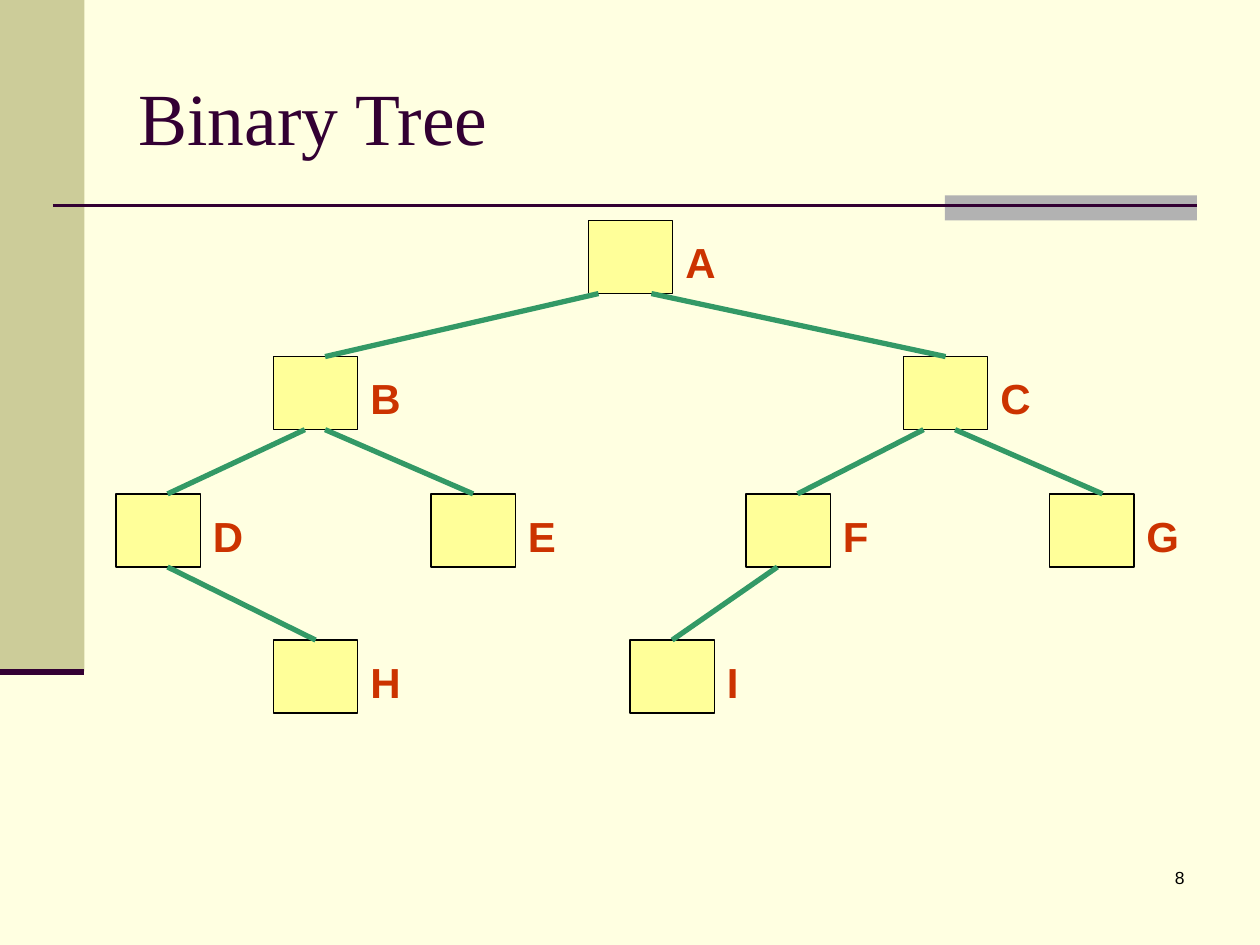
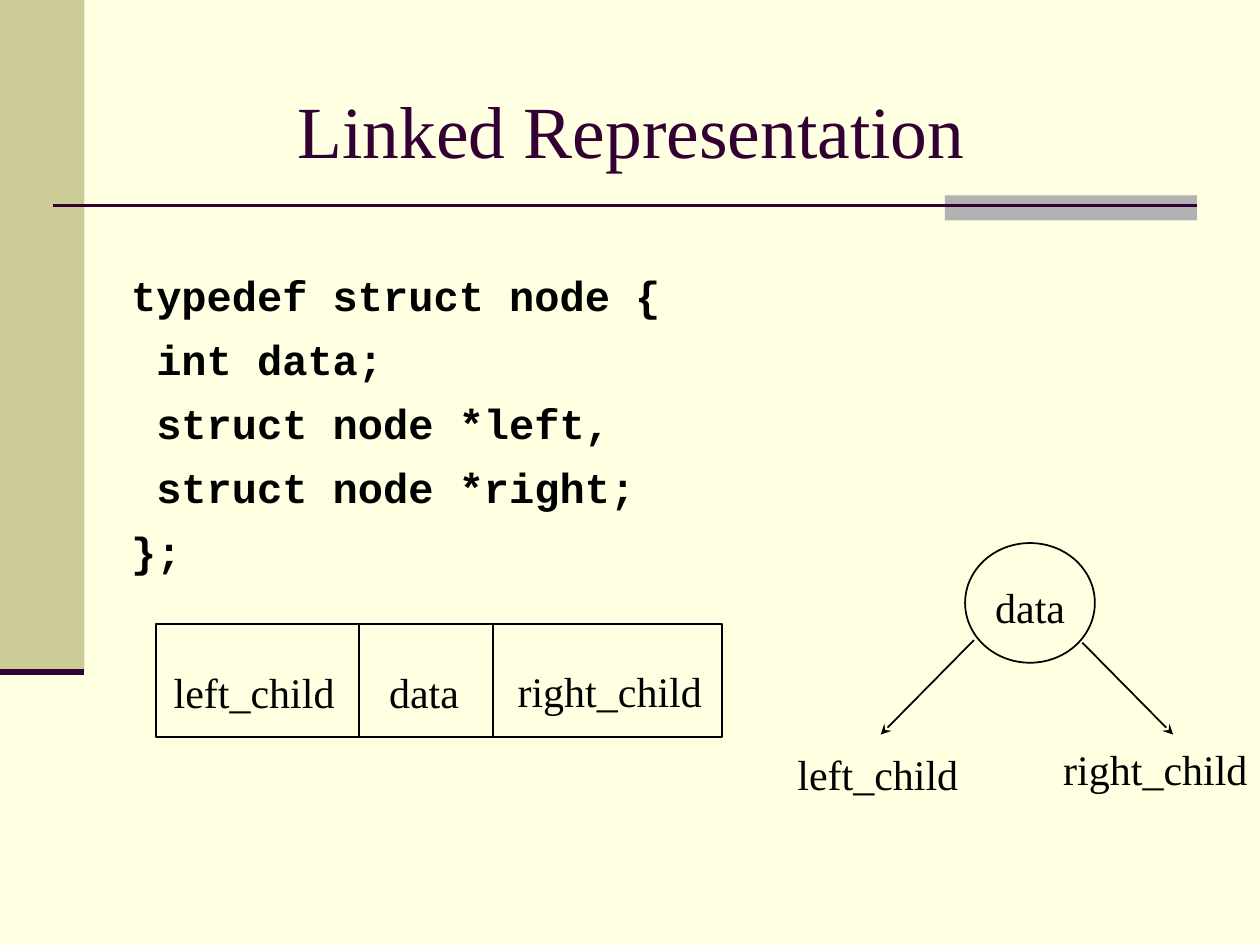
from dataclasses import dataclass

from pptx import Presentation
from pptx.dml.color import RGBColor
from pptx.enum.shapes import MSO_CONNECTOR, MSO_SHAPE
from pptx.enum.text import MSO_ANCHOR, MSO_AUTO_SIZE, PP_ALIGN
from pptx.oxml.ns import qn
from pptx.oxml.xmlchemy import OxmlElement
from pptx.presentation import Presentation as Deck
from pptx.shapes.autoshape import Shape
from pptx.shapes.connector import Connector
from pptx.slide import Slide
from pptx.text.text import TextFrame
from pptx.util import Inches, Pt

COLORS = {
    "paper": "FFFFE1",
    "band": "CCCC99",
    "tab": "B2B2B2",
    "plum": "330033",
    "node": "FFFF99",
    "edge": "339966",
    "label": "CC3300",
    "ink": "000000",
}
SERIF, SANS, MONO = "Times New Roman", "Arial", "Courier New"
TITLE_ONLY, TITLE_AND_BODY = 5, 1
TOP = 0

NODE_WIDTH, NODE_HEIGHT = 0.67, 0.58
ROW_TOPS = (1.75, 2.83, 3.92, 5.08)


@dataclass(frozen=True)
class Box:
    left: float
    top: float
    width: float
    height: float

    def lengths(self) -> tuple[int, int, int, int]:
        return (Inches(self.left), Inches(self.top),
                Inches(self.width), Inches(self.height))


@dataclass(frozen=True)
class TextStyle:
    font: str
    size: float
    color: str = "ink"
    bold: bool = False
    align: PP_ALIGN = PP_ALIGN.LEFT
    space_before: float = 0


@dataclass(frozen=True)
class Node:
    """A tree node; its edge runs from edge_start on the row above to edge_end."""
    label: str
    left: float
    row: int
    edge_start: float | None = None
    edge_end: float | None = None


@dataclass(frozen=True)
class Caption:
    text: str
    box: Box


TITLE = TextStyle(SERIF, 42, "plum")
CENTERED_TITLE = TextStyle(SERIF, 42, "plum", align=PP_ALIGN.CENTER)
PAGE_NUMBER = TextStyle(SANS, 10, align=PP_ALIGN.RIGHT)
NODE_LABEL = TextStyle(SANS, 24, "label", bold=True, space_before=15)
CODE = TextStyle(MONO, 24, bold=True, space_before=7.7)
CAPTION = TextStyle(SERIF, 24)

NODES = (
    Node("A", 4.67, 0),
    Node("B", 2.17, 1, 4.75, 2.58),
    Node("C", 7.17, 1, 5.17, 7.5),
    Node("D", 0.92, 2, 2.42, 1.33),
    Node("E", 3.42, 2, 2.58, 3.75),
    Node("F", 5.92, 2, 7.33, 6.33),
    Node("G", 8.33, 2, 7.58, 8.75),
    Node("H", 2.17, 3, 1.33, 2.5),
    Node("I", 5, 3, 6.17, 5.33),
)

STRUCT_LINES = (
    "typedef struct node {",
    " int data;",
    " struct node *left,",
    " struct node *right;",
    "};",
)
RECORD = Box(1.24, 4.95, 4.49, 0.9)
FIELD_DIVIDERS = (2.85, 3.91)
DATA_CIRCLE = Box(7.66, 4.31, 1.03, 0.95)
CHILD_LINKS = (((7.73, 5.08), (6.99, 5.83)), ((8.59, 5.1), (9.31, 5.83)))
CAPTIONS = (
    Caption("left_child", Box(1.28, 5.24, 1.48, 0.5)),
    Caption("data", Box(2.99, 5.24, 0.76, 0.5)),
    Caption("right_child", Box(4.01, 5.23, 1.66, 0.5)),
    Caption("data", Box(7.8, 4.57, 0.76, 0.5)),
    Caption("left_child", Box(6.23, 5.89, 1.48, 0.5)),
    Caption("right_child", Box(8.34, 5.85, 1.66, 0.5)),
)


def rgb(name: str) -> RGBColor:
    return RGBColor.from_string(COLORS[name])


def format_text(frame: TextFrame, style: TextStyle) -> None:
    for paragraph in frame.paragraphs:
        paragraph.alignment = style.align
        paragraph.space_before = Pt(style.space_before)
        for run in paragraph.runs:
            run.font.name = style.font
            run.font.size = Pt(style.size)
            run.font.bold = style.bold
            run.font.color.rgb = rgb(style.color)


def add_text(slide: Slide, text: str, box: Box, style: TextStyle,
             wrap: bool = True) -> None:
    frame = slide.shapes.add_textbox(*box.lengths()).text_frame
    frame.word_wrap = wrap
    frame.text = text
    format_text(frame, style)


def add_figure(slide: Slide, kind: MSO_SHAPE, box: Box, fill: str | None = None,
               line_width: float = 0) -> Shape:
    figure = slide.shapes.add_shape(kind, *box.lengths())
    figure.shadow.inherit = False
    if fill:
        figure.fill.solid()
        figure.fill.fore_color.rgb = rgb(fill)
    else:
        figure.fill.background()
    if line_width:
        figure.line.color.rgb = rgb("ink")
        figure.line.width = Pt(line_width)
    else:
        figure.line.fill.background()
    return figure


def add_line(slide: Slide, start: tuple[float, float], end: tuple[float, float],
             color: str, width: float, arrow: bool = False) -> Connector:
    line = slide.shapes.add_connector(
        MSO_CONNECTOR.STRAIGHT, *(Inches(value) for value in start + end))
    line.line.color.rgb = rgb(color)
    line.line.width = Pt(width)
    properties = line.element.spPr
    if arrow:
        tail = OxmlElement("a:tailEnd")
        tail.set("type", "stealth")
        properties.find(qn("a:ln")).append(tail)
    properties.append(OxmlElement("a:effectLst"))
    return line


def place(placeholder: Shape, box: Box) -> TextFrame:
    """Move a placeholder and return its text frame without autofit."""
    (placeholder.left, placeholder.top,
     placeholder.width, placeholder.height) = box.lengths()
    placeholder.text_frame.auto_size = MSO_AUTO_SIZE.NONE
    return placeholder.text_frame


def set_title(slide: Slide, text: str, box: Box, style: TextStyle) -> None:
    frame = place(slide.shapes.title, box)
    frame.vertical_anchor = MSO_ANCHOR.MIDDLE
    frame.text = text
    format_text(frame, style)


def decorate_master(deck: Deck, slide: Slide) -> None:
    """Draw the bands and rules on the slide, then hand them to the master."""
    master = deck.slide_master
    master.background.fill.solid()
    master.background.fill.fore_color.rgb = rgb("paper")
    decorations = (
        add_figure(slide, MSO_SHAPE.RECTANGLE, Box(0, 0, 0.67, 5.33), "band"),
        add_figure(slide, MSO_SHAPE.RECTANGLE, Box(7.5, 1.55, 2, 0.2), "tab"),
        add_line(slide, (0.42, 1.63), (9.5, 1.63), "plum", 1.5),
        add_line(slide, (0, 5.33), (0.67, 5.33), "plum", 3.5),
    )
    for decoration in decorations:
        master.element.cSld.spTree.append(decoration.element)


def add_node(slide: Slide, node: Node) -> Shape:
    top = ROW_TOPS[node.row]
    square = add_figure(slide, MSO_SHAPE.RECTANGLE,
                        Box(node.left, top, NODE_WIDTH, NODE_HEIGHT), "node", 0.75)
    add_text(slide, node.label, Box(node.left + NODE_WIDTH, top + 0.08, 0.58, 0.5),
             NODE_LABEL)
    return square


def add_edge(slide: Slide, node: Node, square: Shape) -> None:
    parent_bottom = ROW_TOPS[node.row - 1] + NODE_HEIGHT
    edge = add_line(slide, (node.edge_start, parent_bottom),
                    (node.edge_end, ROW_TOPS[node.row]), "edge", 3)
    if abs(node.edge_end - node.left - NODE_WIDTH / 2) < 0.02:
        edge.end_connect(square, TOP)


def build_binary_tree(slide: Slide) -> None:
    set_title(slide, "Binary Tree", Box(1, 0.3, 8.5, 1.25), TITLE)
    add_text(slide, "8", Box(7.42, 6.83, 2.08, 0.5), PAGE_NUMBER)
    squares = [add_node(slide, node) for node in NODES]
    for node, square in zip(NODES, squares):
        if node.row:
            add_edge(slide, node, square)


def build_linked_representation(slide: Slide) -> None:
    set_title(slide, "Linked Representation", Box(0, 0.4, 10.02, 1.25),
              CENTERED_TITLE)

    code = place(slide.placeholders[1], Box(0.94, 2.09, 8.31, 2.5))
    code.text = "\n".join(STRUCT_LINES)
    format_text(code, CODE)
    for paragraph in code.paragraphs:
        properties = paragraph._p.get_or_add_pPr()
        properties.set("marL", "0")
        properties.set("indent", "0")
        properties.append(OxmlElement("a:buNone"))

    add_figure(slide, MSO_SHAPE.RECTANGLE, RECORD, line_width=1)
    for x in FIELD_DIVIDERS:
        add_line(slide, (x, RECORD.top), (x, RECORD.top + RECORD.height), "ink", 1)
    add_figure(slide, MSO_SHAPE.OVAL, DATA_CIRCLE, line_width=1)
    for start, end in CHILD_LINKS:
        add_line(slide, start, end, "ink", 1, arrow=True)
    for caption in CAPTIONS:
        add_text(slide, caption.text, caption.box, CAPTION, wrap=False)


def main() -> None:
    deck = Presentation()
    deck.slide_width, deck.slide_height = Inches(10), Inches(7.5)
    tree_slide = deck.slides.add_slide(deck.slide_layouts[TITLE_ONLY])
    decorate_master(deck, tree_slide)
    build_binary_tree(tree_slide)
    build_linked_representation(
        deck.slides.add_slide(deck.slide_layouts[TITLE_AND_BODY]))
    deck.save("out.pptx")


if __name__ == "__main__":
    main()
